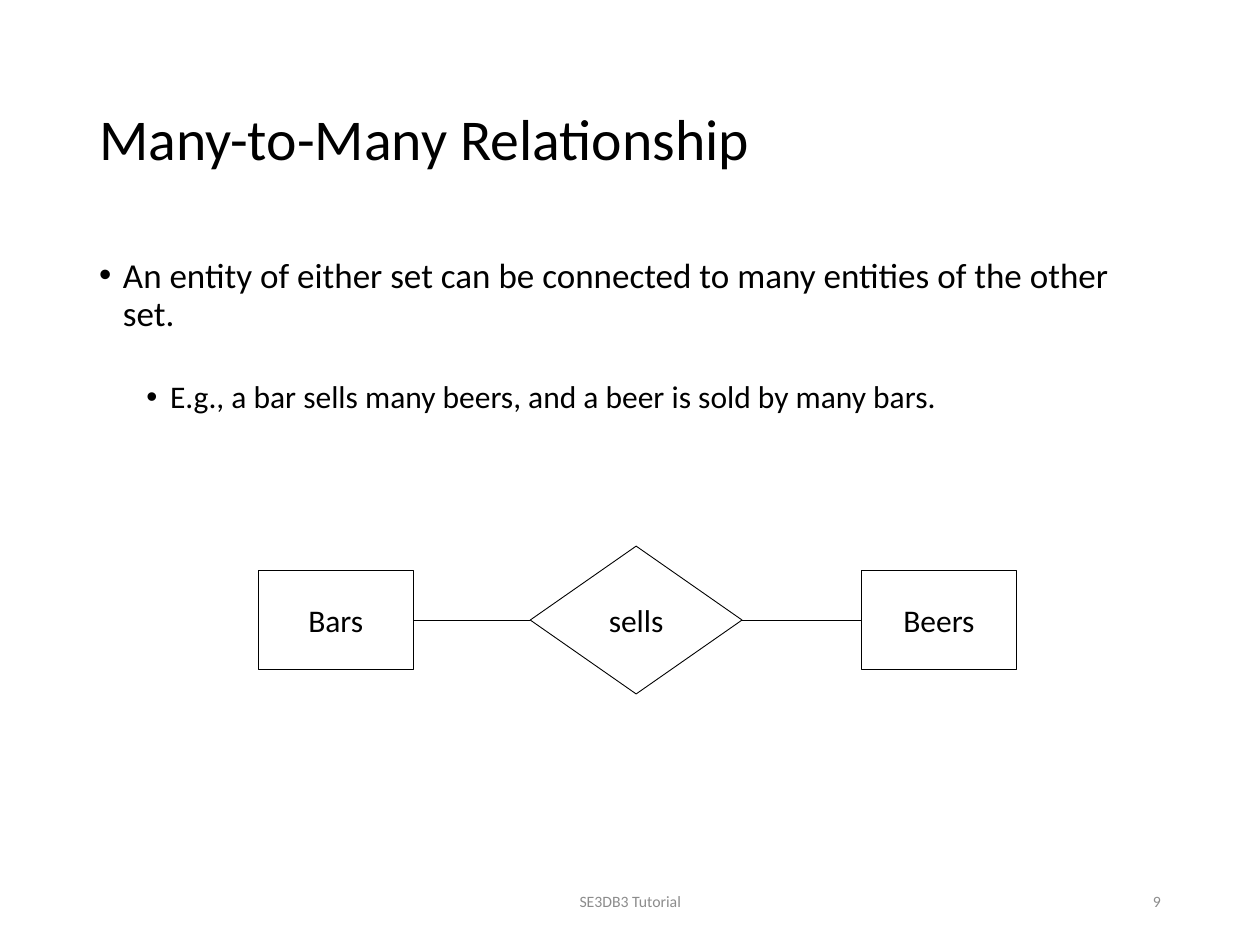
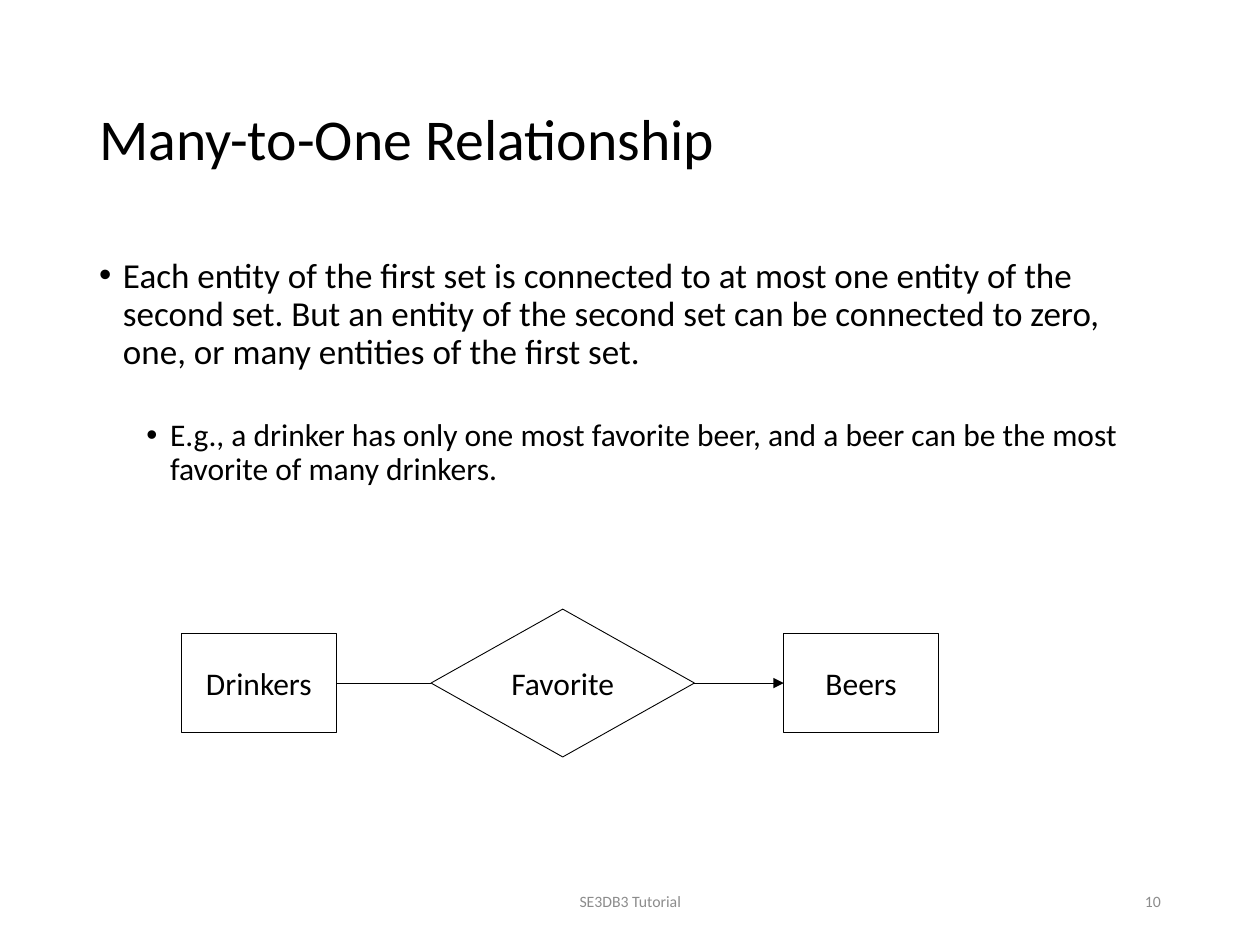
from lxml.etree import SubElement
from pptx import Presentation
from pptx.dml.color import RGBColor
from pptx.enum.shapes import MSO_CONNECTOR, MSO_SHAPE
from pptx.enum.text import MSO_ANCHOR, PP_ALIGN
from pptx.oxml.ns import qn
from pptx.util import Cm, Pt

# Diagram entries: left edges, diamond width and centre line are in cm.
SLIDES = [
    {
        "number": 9,
        "title": "Many-to-Many Relationship",
        "rule": "An entity of either set can be connected to many entities of the other set.",
        "example": "E.g., a bar sells many beers, and a beer is sold by many bars.",
        "entities": [("Bars", 5.21), ("Beers", 17.37)],
        "relationship": ("sells", 10.69, 4.27),
        "centre": 12.5,
        "arrow": False,
    },
    {
        "number": 10,
        "title": "Many-to-One Relationship",
        "rule": "Each entity of the first set is connected to at most one entity of the "
                "second set. But an entity of the second set can be connected to zero, "
                "one, or many entities of the first set.",
        "example": "E.g., a drinker has only one most favorite beer, and a beer can be "
                   "the most favorite of many drinkers.",
        "entities": [("Drinkers", 3.66), ("Beers", 15.8)],
        "relationship": ("Favorite", 8.69, 5.31),
        "centre": 13.77,
        "arrow": True,
    },
]
FOOTER = "SE3DB3 Tutorial"

FONT = "Calibri"
BLACK = RGBColor(0x00, 0x00, 0x00)
WHITE = RGBColor(0xFF, 0xFF, 0xFF)
GREY = RGBColor(0x8C, 0x8C, 0x8C)
LINE_WIDTH = Pt(0.5)

MARGIN, CONTENT_WIDTH = 1.75, 21.9
TITLE_BOX = (MARGIN, 1.02, CONTENT_WIDTH, 3.68)
BODY_BOX = (MARGIN, 5.08, CONTENT_WIDTH, 12.09)
FOOTER_BOX = (8.41, 17.65, 8.59, 1.02)
NUMBER_BOX = (17.93, 17.65, 5.72, 1.02)
ENTITY_WIDTH, ENTITY_HEIGHT = 3.12, 1.98
DIAMOND_HEIGHT = 2.98
BULLET_HANG = 0.48
LEFT_SITE, RIGHT_SITE = 1, 3


def write(paragraph, text, size=18, color=BLACK, align=PP_ALIGN.LEFT,
          line_spacing=1.0, space_before=0, level=0, bullet_indent=None):
    paragraph.alignment = align
    paragraph.line_spacing = line_spacing
    paragraph.space_before = Pt(space_before)
    paragraph.level = level
    run = paragraph.add_run()
    run.text = text
    run.font.name = FONT
    run.font.size = Pt(size)
    run.font.color.rgb = color
    if bullet_indent is not None:
        properties = paragraph._p.get_or_add_pPr()
        properties.set("marL", str(Cm(bullet_indent)))
        properties.set("indent", str(-Cm(BULLET_HANG)))
        SubElement(properties, qn("a:buFont"), typeface="Arial")
        SubElement(properties, qn("a:buChar"), char="•")


def add_text_box(slide, box, anchor=MSO_ANCHOR.MIDDLE):
    frame = slide.shapes.add_textbox(*map(Cm, box)).text_frame
    frame.word_wrap = True
    frame.vertical_anchor = anchor
    return frame


def add_node(slide, kind, text, left, centre, width, height):
    """Draw an outlined shape whose middle lies on the centre line."""
    shape = slide.shapes.add_shape(
        kind, Cm(left), Cm(centre - height / 2), Cm(width), Cm(height))
    shape.shadow.inherit = False
    shape.fill.solid()
    shape.fill.fore_color.rgb = WHITE
    shape.line.color.rgb = BLACK
    shape.line.width = LINE_WIDTH
    frame = shape.text_frame
    frame.word_wrap = False
    frame.vertical_anchor = MSO_ANCHOR.MIDDLE
    write(frame.paragraphs[0], text, align=PP_ALIGN.CENTER)
    return shape


def link(slide, source, target, arrow=False):
    connector = slide.shapes.add_connector(MSO_CONNECTOR.STRAIGHT, 0, 0, 0, 0)
    connector.begin_connect(source, RIGHT_SITE)
    connector.end_connect(target, LEFT_SITE)
    connector.line.color.rgb = BLACK
    connector.line.width = LINE_WIDTH
    if arrow:
        SubElement(connector.line._get_or_add_ln(), qn("a:tailEnd"), type="triangle")
    SubElement(connector._element.spPr, qn("a:effectLst"))


def add_diagram(slide, content):
    centre = content["centre"]
    first, second = [
        add_node(slide, MSO_SHAPE.RECTANGLE, name, left, centre,
                 ENTITY_WIDTH, ENTITY_HEIGHT)
        for name, left in content["entities"]
    ]
    name, left, width = content["relationship"]
    diamond = add_node(slide, MSO_SHAPE.DIAMOND, name, left, centre,
                       width, DIAMOND_HEIGHT)
    link(slide, first, diamond)
    link(slide, diamond, second, arrow=content["arrow"])


def add_slide(presentation, content):
    slide = presentation.slides.add_slide(presentation.slide_layouts[6])
    title = add_text_box(slide, TITLE_BOX)
    write(title.paragraphs[0], content["title"], size=33, line_spacing=0.9)

    body = add_text_box(slide, BODY_BOX, anchor=MSO_ANCHOR.TOP)
    write(body.paragraphs[0], content["rule"], size=20, line_spacing=0.9,
          space_before=7.5, bullet_indent=BULLET_HANG)
    write(body.add_paragraph(), content["example"], line_spacing=0.9,
          space_before=27.4, level=1, bullet_indent=1.43)

    for box, text, align in ((FOOTER_BOX, FOOTER, PP_ALIGN.CENTER),
                             (NUMBER_BOX, str(content["number"]), PP_ALIGN.RIGHT)):
        write(add_text_box(slide, box).paragraphs[0], text, size=9,
              color=GREY, align=align)
    add_diagram(slide, content)


def main():
    presentation = Presentation()
    presentation.slide_width = Cm(25.4)
    presentation.slide_height = Cm(19.05)
    for content in SLIDES:
        add_slide(presentation, content)
    presentation.save("out.pptx")


if __name__ == "__main__":
    main()
